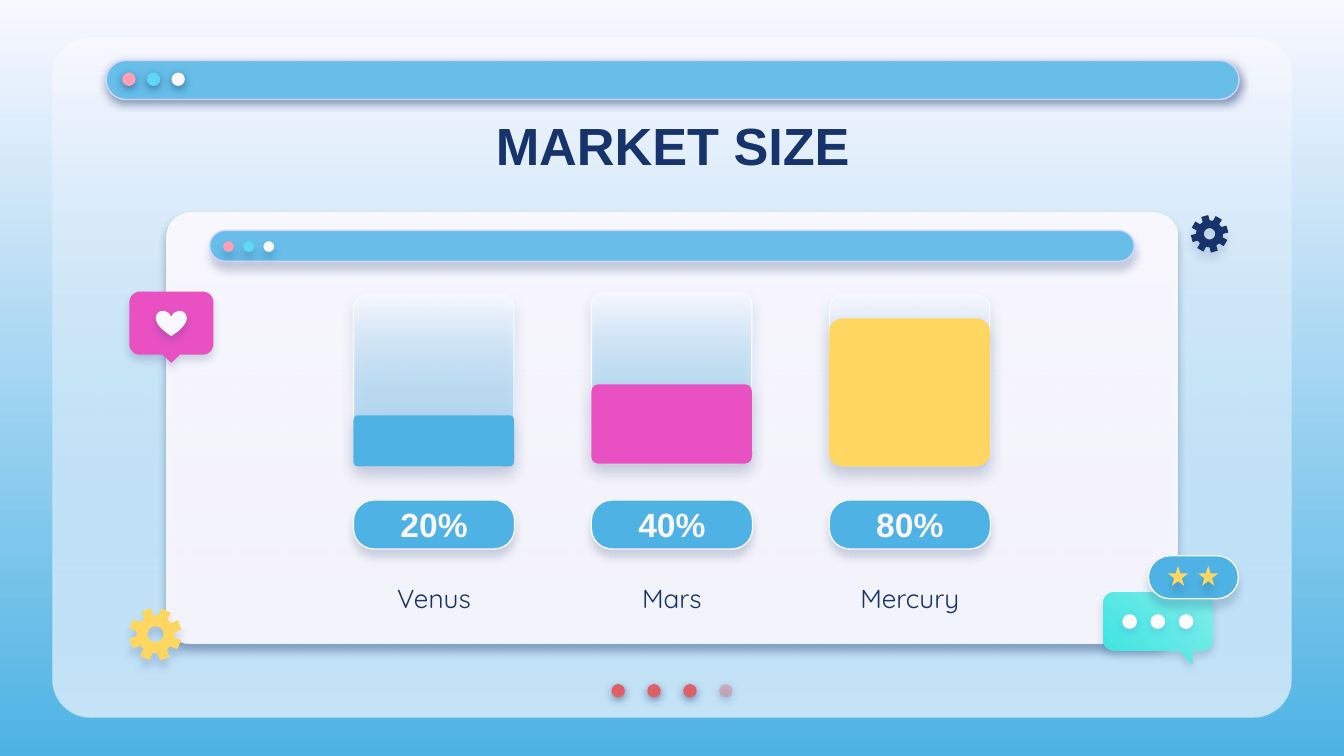
import math

import pptx
import pptx.dml.color
import pptx.enum.shapes
import pptx.enum.text
import pptx.oxml
import pptx.oxml.ns
import pptx.util

SHAPE = pptx.enum.shapes.MSO_SHAPE
WIDTH = pptx.util.Inches(10)
UNIT = WIDTH / 100  # square grid: 100 columns, 56.25 rows

COLORS = {
    "paper": "F9F8FF", "sky": "4EB3E4", "bar": "66BEE9", "edge": "D2D6FF",
    "navy": "17336B", "pink": "E951C2", "yellow": "FFD65F", "white": "FFFFFF",
    "red": "DF5F69", "faded": "E27B83", "rose": "FDA0B4", "cyan": "60D8F4",
    "mint": "81EEEB", "teal": "3AE4DF", "violet": "5352EE",
}

# Shadows: colour, opacity %, blur pt, distance pt
FRAME_SHADOW = ("navy", 50, 4.5, 1.5)
WINDOW_SHADOW = ("navy", 21, 4.5, 3.8)
TANK_SHADOW = ("navy", 17, 7.9, 4.5)
BADGE_SHADOW = ("navy", 18, 4.5, 3.8)
ICON_SHADOW = ("navy", 19, 4.5, 3)
STAR_SHADOW = ("navy", 19, 4.5, 4.5)
DOT_SHADOW = ("violet", 18, 4.5, 1.5)

GLASS = ("paper", "bar", 90, 35)
WINDOW_DOTS = ["rose", "cyan", "paper"]
# name, share, colour, top of tank, height of level
MARKETS = [
    ("Venus", "20%", "sky", 21.9, 3.8),
    ("Mars", "40%", "pink", 21.7, 5.9),
    ("Mercury", "80%", "yellow", 21.9, 11),
]


def grid(*values):
    return [round(v * UNIT) for v in values]


def rgb(name):
    return pptx.dml.color.RGBColor.from_string(COLORS[name])


def add_alpha(color, percent):
    alpha = color.makeelement(pptx.oxml.ns.qn("a:alpha"), {"val": str(percent * 1000)})
    color.append(alpha)


def fill_gradient(fill, start, end, angle):
    """Angle runs clockwise, 90 being top to bottom."""
    fill.gradient()
    fill.gradient_angle = (360 - angle) % 360
    for stop, name in zip(fill.gradient_stops, (start, end)):
        stop.color.rgb = rgb(name)


def style(sp, fill, line=None, shadow=None, alpha=100):
    """Fill is a colour name or (start, end, angle, opacity of the end)."""
    if isinstance(fill, tuple):
        *ramp, alpha = fill
        fill_gradient(sp.fill, *ramp)
    else:
        sp.fill.solid()
        sp.fill.fore_color.rgb = rgb(fill)
    props = sp._element.spPr
    if alpha < 100:
        add_alpha(list(props.iter(pptx.oxml.ns.qn("a:srgbClr")))[-1], alpha)
    if line:
        sp.line.color.rgb = rgb(line)
        sp.line.width = pptx.util.Pt(0.75)
    else:
        sp.line.fill.background()
    sp.shadow.inherit = False
    if shadow:
        name, opacity, blur, dist = shadow
        outer = pptx.oxml.parse_xml(
            f'<a:outerShdw {pptx.oxml.ns.nsdecls("a")} blurRad="{pptx.util.Pt(blur)}" '
            f'dist="{pptx.util.Pt(dist)}" dir="5400000" algn="bl" rotWithShape="0">'
            f'<a:srgbClr val="{COLORS[name]}"/></a:outerShdw>')
        add_alpha(outer[0], opacity)
        props.find(pptx.oxml.ns.qn("a:effectLst")).append(outer)


def add_preset(s, kind, box, fill, line=None, shadow=None, adj=None, alpha=100):
    sp = s.shapes.add_shape(kind, *grid(*box))
    if adj is not None:
        sp.adjustments[0] = adj
    style(sp, fill, line, shadow, alpha)
    return sp


def add_panel(s, box, adj, fill, line=None, shadow=None):
    return add_preset(s, SHAPE.ROUNDED_RECTANGLE, box, fill, line, shadow, adj)


def add_outline(s, contours, fill, shadow):
    """Draw closed contours as one shape; inner contours become holes."""
    first, *others = [[grid(*point) for point in c] for c in contours]
    builder = s.shapes.build_freeform(*first[0])
    builder.add_line_segments(first[1:])
    for contour in others:
        builder.move_to(*contour[0])
        builder.add_line_segments(contour[1:])
    style(builder.convert_to_shape(), fill, shadow=shadow)


def arc(cx, cy, r, start, end, steps):
    angles = [math.radians(start + (end - start) * i / steps) for i in range(steps + 1)]
    return [(cx + r * math.cos(a), cy + r * math.sin(a)) for a in angles]


def add_gear(s, cx, cy, r, turn, fill, shadow):
    rim = []
    for angle in range(turn, turn + 360, 45):
        for radius, offset in ((0.72, -15), (1, -11), (1, 11), (0.72, 15)):
            rim += arc(cx, cy, r * radius, angle + offset, angle + offset, 1)[:1]
    add_outline(s, [rim, arc(cx, cy, r * 0.3, 0, 360, 32)], fill, shadow)


def add_bubble(s, box, tail, fill, shadow, r=0.8):
    """Rounded box whose lower edge runs through the tail points, right to left."""
    x, y, w, h = box
    left, right, top, bottom = x + r, x + w - r, y + r, y + h - r
    edge = (arc(left, top, r, 180, 270, 8) + arc(right, top, r, 270, 360, 8)
            + arc(right, bottom, r, 0, 90, 8) + tail + arc(left, bottom, r, 90, 180, 8))
    add_outline(s, [edge], fill, shadow)


def add_dots(s, x, y, size, step, fills, shadow):
    for i, fill in enumerate(fills):
        add_preset(s, SHAPE.OVAL, (x + i * step, y, size, size), fill, shadow=shadow,
                   alpha=44 if fill == "faded" else 100)


def set_text(sp, text, size, font, color, bold=False):
    tf = sp.text_frame
    tf.text = text
    tf.word_wrap = True
    tf.vertical_anchor = pptx.enum.text.MSO_ANCHOR.MIDDLE
    tf.margin_left = tf.margin_right = tf.margin_top = tf.margin_bottom = round(UNIT)
    p = tf.paragraphs[0]
    p.alignment = pptx.enum.text.PP_ALIGN.CENTER
    f = p.runs[0].font
    f.size, f.name, f.bold = pptx.util.Pt(size), font, bold
    f.color.rgb = rgb(color)


def add_label(s, box, *text):
    set_text(s.shapes.add_textbox(*grid(*box)), *text)


def add_frame(s):
    for fill in ("paper", GLASS):
        add_panel(s, (3.9, 2.8, 92.2, 50.6), 0.056, fill)
    add_dots(s, 45.5, 50.9, 1, 2.67, ["red"] * 3 + ["faded"], FRAME_SHADOW)
    add_panel(s, (7.9, 4.5, 84.3, 2.9), 0.5, "bar", "edge", FRAME_SHADOW)
    add_dots(s, 9.1, 5.4, 1, 1.83, WINDOW_DOTS, FRAME_SHADOW)


def add_window(s):
    for fill in ("paper", ("paper", "paper", 90, 87)):
        add_panel(s, (12.4, 15.8, 75.2, 32.1), 0.056, fill, shadow=WINDOW_SHADOW)
    add_panel(s, (15.6, 17.15, 68.8, 2.3), 0.5, "bar", "edge", WINDOW_SHADOW)
    add_dots(s, 16.6, 17.95, 0.8, 1.5, WINDOW_DOTS, WINDOW_SHADOW)


def add_market(s, x, name, share, color, top, level):
    width, height = 11.95, 12.8
    add_panel(s, (x, top, width, height), 0.088, GLASS, "paper", TANK_SHADOW)
    add_panel(s, (x, top + height - level, width, level), 0.088, color, shadow=TANK_SHADOW)
    badge = add_panel(s, (x, 37.2, 12, 3.65), 0.421, "sky", "paper", BADGE_SHADOW)
    set_text(badge, share, 18, "Arial", "paper", True)
    add_label(s, (x, 42.8, 12, 3.4), name, 14, "Quicksand", "navy")


def add_icons(s):
    add_gear(s, 11.57, 47.2, 1.97, 24, "yellow", ("navy", 16, 4.5, 4.5))
    add_gear(s, 90, 17.4, 1.4, 30, "navy", ("navy", 15, 4.5, 3.8))
    add_bubble(s, (9.63, 21.7, 6.25, 4.7), [(13.4, 26.4), (12.75, 27), (12.1, 26.4)],
               "pink", ICON_SHADOW)
    add_preset(s, SHAPE.HEART, (11.6, 23.1, 2.3, 1.9), "paper", shadow=ICON_SHADOW)
    add_bubble(s, (82.1, 44.1, 8.15, 4.3), [(88.7, 48.4), (88.7, 49.4), (87.7, 48.4)],
               ("mint", "teal", 135, 100), ("navy", 18, 4.5, 3))
    add_dots(s, 83.5, 45.7, 1.1, 2.1, ["white"] * 3, DOT_SHADOW)
    add_panel(s, (85.45, 41.35, 6.7, 3.2), 0.5, "sky", "paper", STAR_SHADOW)
    for x in (86.9, 89.15):
        add_preset(s, SHAPE.STAR_5_POINT, (x, 42.1, 1.5, 1.5), "yellow", shadow=STAR_SHADOW)


def main():
    prs = pptx.Presentation()
    prs.slide_width, prs.slide_height = WIDTH, WIDTH * 9 // 16
    s = prs.slides.add_slide(prs.slide_layouts[6])
    fill_gradient(s.background.fill, "paper", "sky", 90)
    add_frame(s)
    add_window(s)
    add_label(s, (7.9, 7.6, 84.3, 6.3), "MARKET SIZE", 28, "Arial", "navy", True)
    for i, market in enumerate(MARKETS):
        add_market(s, 26.3 + i * 17.7, *market)
    add_icons(s)
    prs.save("out.pptx")


if __name__ == "__main__":
    main()
